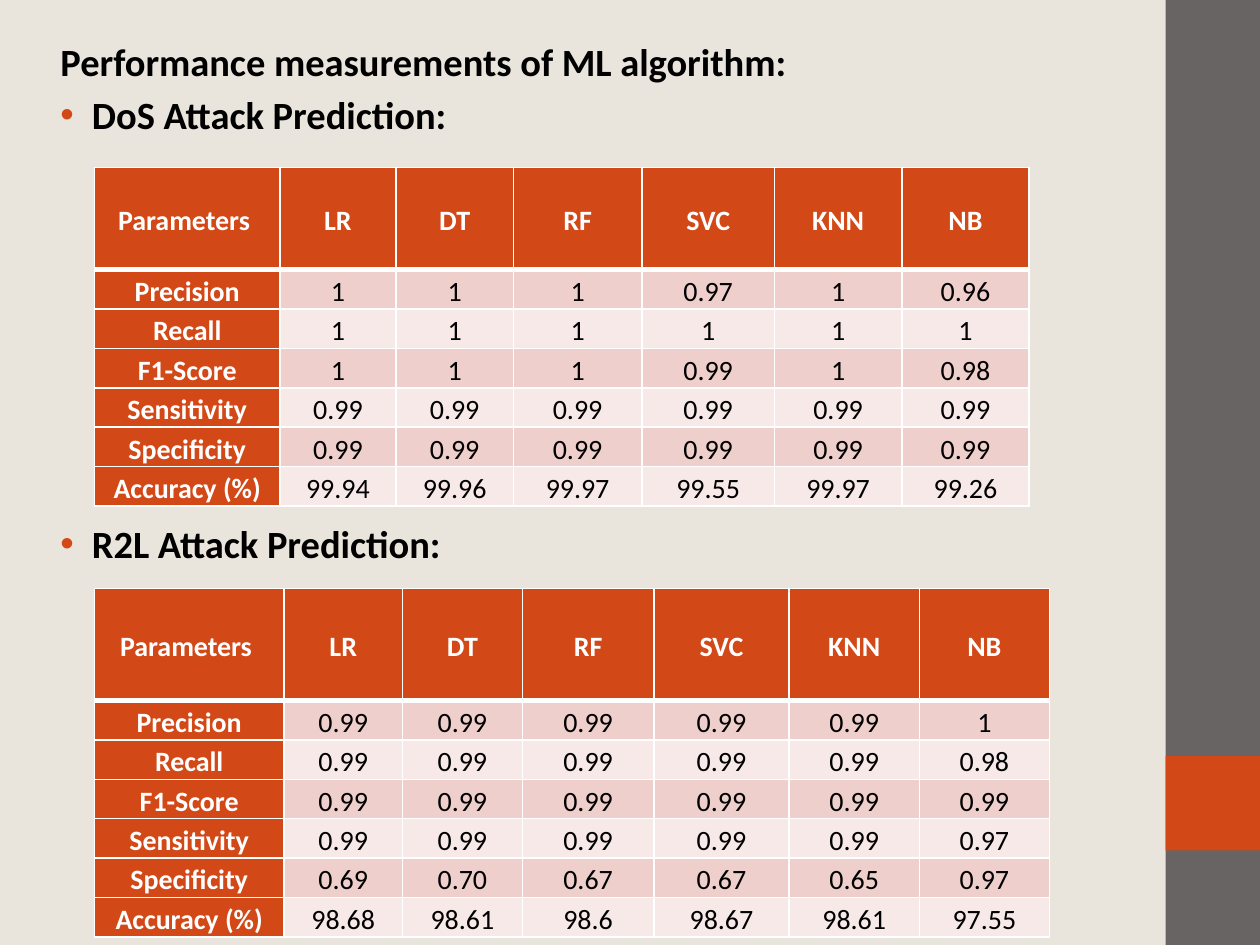
from lxml import etree
from pptx import Presentation
from pptx.dml.color import RGBColor
from pptx.enum.shapes import MSO_SHAPE
from pptx.enum.text import MSO_ANCHOR, MSO_AUTO_SIZE, PP_ALIGN
from pptx.oxml.ns import qn
from pptx.util import Inches, Pt

RECT = MSO_SHAPE.RECTANGLE
MIDDLE, TOP = MSO_ANCHOR.MIDDLE, MSO_ANCHOR.TOP
CENTER, LEFT = PP_ALIGN.CENTER, PP_ALIGN.LEFT
NO_FIT = MSO_AUTO_SIZE.NONE

BEIGE = RGBColor(0xE9, 0xE5, 0xDC)
GRAY = RGBColor(0x69, 0x64, 0x64)
ORANGE = RGBColor(0xD3, 0x48, 0x17)
PINK = RGBColor(0xEF, 0xCF, 0xCC)
PALE = RGBColor(0xF7, 0xE9, 0xE8)
WHITE = RGBColor(0xFF, 0xFF, 0xFF)
BLACK = RGBColor(0, 0, 0)


def add_run(p, text, size, color, bold):
    r = p.add_run()
    r.text = text
    r.font.color.rgb = color
    for name, value in {"name": "Calibri", "size": Pt(size), "bold": bold}.items():
        setattr(r.font, name, value)


def add_border(cell, side, points):
    ln = etree.SubElement(cell._tc.get_or_add_tcPr(), qn(f"a:ln{side}"), w=str(Pt(points)))
    fill = etree.SubElement(ln, qn("a:solidFill"))
    etree.SubElement(fill, qn("a:srgbClr"), val=str(WHITE))


prs = Presentation()
prs.slide_width, prs.slide_height = Inches(10), Inches(7.5)
W, H = prs.slide_width, prs.slide_height
s = prs.slides.add_slide(prs.slide_layouts[1])
s.background.fill.solid()
s.background.fill.fore_color.rgb = BEIGE
title, body = s.placeholders
title.element.getparent().remove(title.element)

# Side bar: full height, with an accent square
for top, height, color in [(0, 1, GRAY), (0.8, 0.1, ORANGE)]:
    sp = s.shapes.add_shape(RECT, int(W * 0.925), int(H * top), int(W * 0.075), int(H * height))
    sp.shadow.inherit = False
    sp.fill.solid()
    sp.fill.fore_color.rgb = color
    sp.line.fill.background()

# Headings; the last one is spaced to clear the first table
for name, value in {"left": 0.25, "top": 0.25, "width": 8.75, "height": 7}.items():
    setattr(body, name, Inches(value))
tf = body.text_frame
for name, value in {"word_wrap": True, "auto_size": NO_FIT, "vertical_anchor": TOP}.items():
    setattr(tf, name, value)
headings = [
    ("Performance measurements of ML algorithm:", False, 4),
    ("DoS Attack Prediction:", True, 4),
    ("R2L Attack Prediction:", True, 219),
]
for i, (text, bullet, space) in enumerate(headings):
    p = tf.add_paragraph() if i else tf.paragraphs[0]
    p.alignment = LEFT
    p.space_before = Pt(space)
    add_run(p, text, 22, BLACK, True)
    pPr = p._p.get_or_add_pPr()
    pPr.set("marL", str(Inches(0.38 if bullet else 0.13)))
    pPr.set("indent", str(Inches(-0.25 if bullet else 0)))
    if bullet:
        clr = etree.SubElement(pPr, qn("a:buClr"))
        etree.SubElement(clr, qn("a:srgbClr"), val=str(ORANGE))
        etree.SubElement(pPr, qn("a:buFont"), typeface="Arial")
        etree.SubElement(pPr, qn("a:buChar"), char="•")
    else:
        etree.SubElement(pPr, qn("a:buNone"))

# Result tables: top, width, header height, row height, values
HEADER = ["Parameters ", "LR", "DT", "RF", "SVC", "KNN", "NB"]
MEASURES = ["Precision", "Recall", "F1-Score", "Sensitivity", "Specificity", "Accuracy (%)"]
COLUMNS = [1.47, 0.92, 0.93, 1.02, 1.05, 1.01, 1.01]
tables = [
    (1.33, 7.42, 0.81, 0.28, [
        "1 1 1 0.97 1 0.96",
        "1 1 1 1 1 1",
        "1 1 1 0.99 1 0.98",
        "0.99 0.99 0.99 0.99 0.99 0.99",
        "0.99 0.99 0.99 0.99 0.99 0.99",
        "99.94 99.96 99.97 99.55 99.97 99.26",
    ]),
    (4.67, 7.58, 0.89, 0.3, [
        "0.99 0.99 0.99 0.99 0.99 1",
        "0.99 0.99 0.99 0.99 0.99 0.98",
        "0.99 0.99 0.99 0.99 0.99 0.99",
        "0.99 0.99 0.99 0.99 0.99 0.97",
        "0.69 0.70 0.67 0.67 0.65 0.97",
        "98.68 98.61 98.6 98.67 98.61 97.55",
    ]),
]
CELL = {"vertical_anchor": MIDDLE, "margin_left": Inches(0.07), "margin_right": Inches(0.07),
        "margin_top": 0, "margin_bottom": 0}
for top, width, header_height, row_height, values in tables:
    rows = [HEADER] + [[m] + v.split() for m, v in zip(MEASURES, values)]
    height = header_height + row_height * len(MEASURES)
    table = s.shapes.add_table(len(rows), len(HEADER), Inches(0.75), Inches(top),
                               Inches(width), Inches(height)).table
    for column, share in zip(table.columns, COLUMNS):
        column.width = Inches(width * share / sum(COLUMNS))
    for i, row in enumerate(rows):
        table.rows[i].height = Inches(row_height if i else header_height)
        for j, text in enumerate(row):
            cell = table.cell(i, j)
            heading = i == 0 or j == 0
            for name, value in CELL.items():
                setattr(cell, name, value)
            for side in "LRTB":
                under_header = (i, side) in [(0, "B"), (1, "T")]
                add_border(cell, side, 3 if under_header else 1)
            cell.fill.solid()
            cell.fill.fore_color.rgb = ORANGE if heading else PINK if i % 2 else PALE
            p = cell.text_frame.paragraphs[0]
            p.alignment = CENTER
            p.line_spacing = 1.15
            add_run(p, text, 16, WHITE if heading else BLACK, heading)

prs.save("out.pptx")
